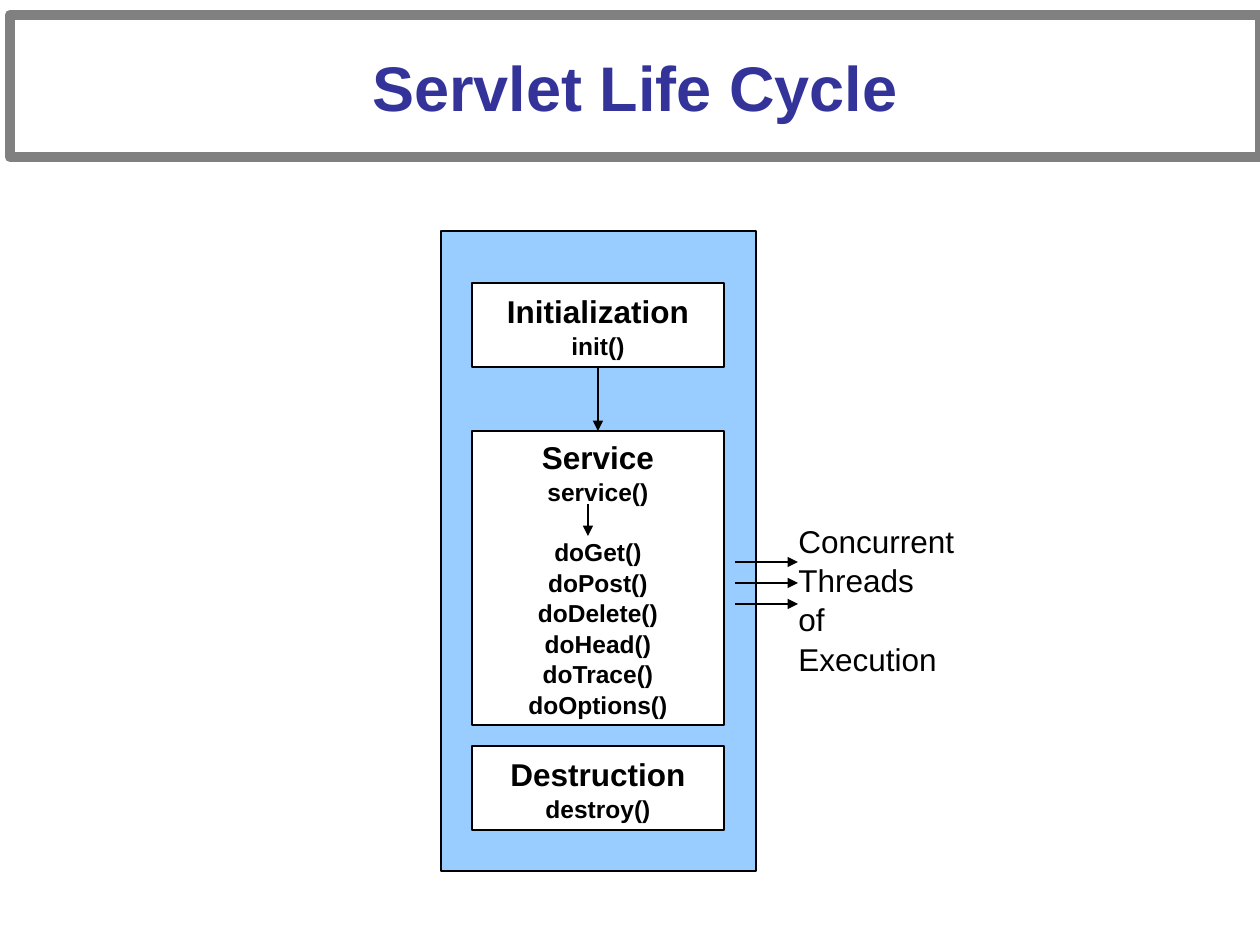
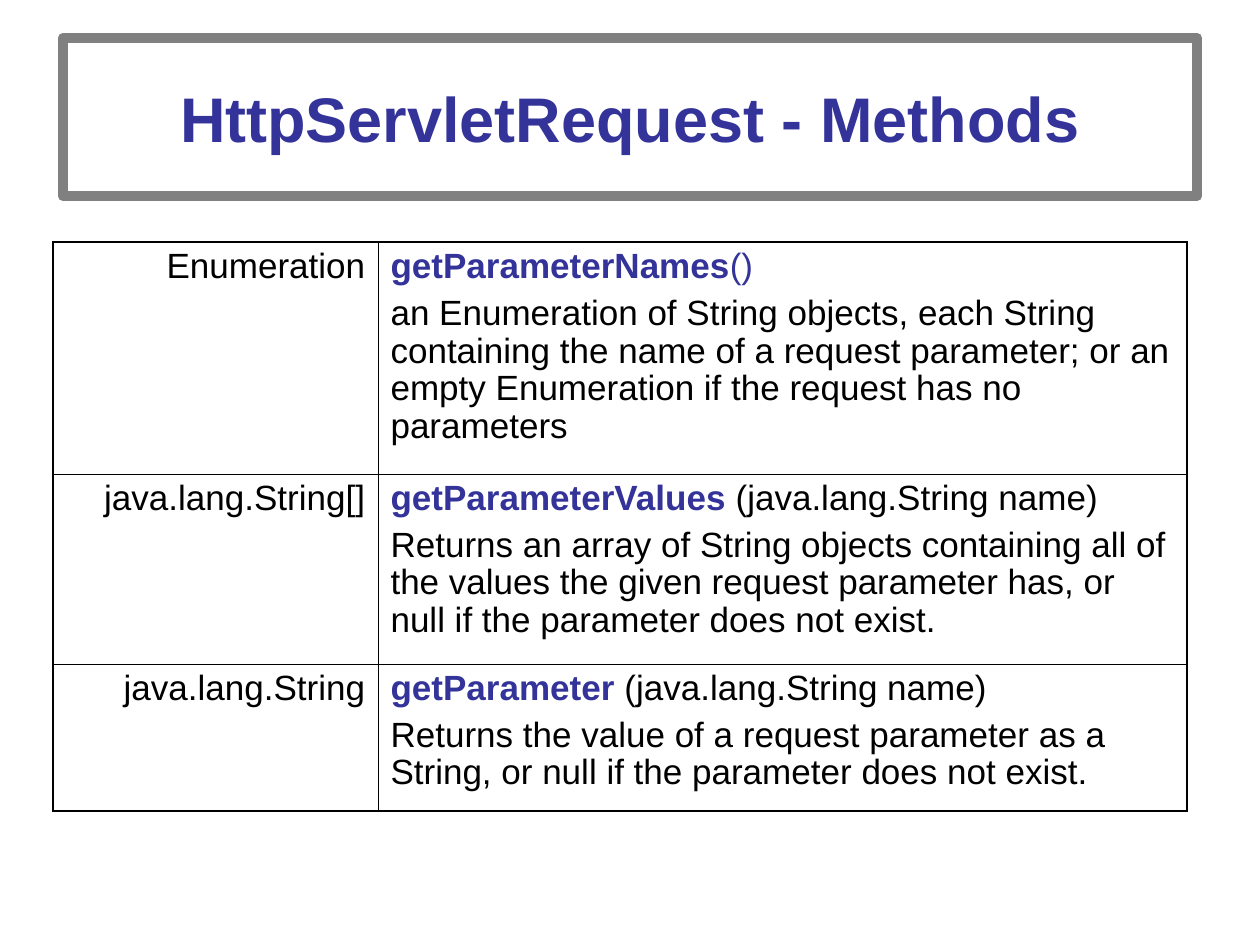
from typing import NamedTuple, Optional

import pptx
import pptx.dml.color
import pptx.enum.shapes
import pptx.enum.text
import pptx.oxml
import pptx.oxml.ns
import pptx.util

PX = 914400 / 126  # EMU in one px
FONT = "Arial"
COLOURS = {
    "ink": "000000",
    "title": "333399",
    "frame": "808080",
    "panel": "99CCFF",
    "paper": "FFFFFF",
}
ALIGN = pptx.enum.text.PP_ALIGN
ANCHOR = pptx.enum.text.MSO_ANCHOR


class Area(NamedTuple):
    left: int
    top: int
    width: int
    height: int


class Span(NamedTuple):
    text: str
    size: int
    bold: bool = False
    colour: str = "ink"


class Para(NamedTuple):
    spans: list[Span]
    before: float = 0


class Phase(NamedTuple):
    name: str
    area: Area
    entry: str
    handlers: tuple[str, ...] = ()


class Method(NamedTuple):
    returns: str
    name: str
    arguments: str
    arguments_colour: str
    description: str
    height: int


def emu(length: int) -> int:
    return round(length * PX)


def rgb(name: str) -> pptx.dml.color.RGBColor:
    return pptx.dml.color.RGBColor.from_string(COLOURS[name])


def write(text_frame, paras: list[Para], align: ALIGN, spacing: float = 1.0) -> None:
    for index, item in enumerate(paras):
        para = text_frame.paragraphs[0] if index == 0 else text_frame.add_paragraph()
        para.alignment = align
        para.line_spacing = spacing
        para.space_before = pptx.util.Pt(item.before)
        for part in item.spans:
            span = para.add_run()
            span.text = part.text
            span.font.name = FONT
            span.font.size = pptx.util.Pt(part.size)
            span.font.bold = part.bold
            span.font.color.rgb = rgb(part.colour)


def add_box(page, area: Area, fill: Optional[str], line: str = "ink", weight: float = 0.75):
    box = page.shapes.add_shape(
        pptx.enum.shapes.MSO_SHAPE.RECTANGLE, *(emu(length) for length in area)
    )
    box.shadow.inherit = False
    if fill:
        box.fill.solid()
        box.fill.fore_color.rgb = rgb(fill)
    else:
        box.fill.background()
    box.line.color.rgb = rgb(line)
    box.line.width = pptx.util.Pt(weight)
    box.text_frame.vertical_anchor = ANCHOR.MIDDLE
    return box


def add_title(page, text: str, area: Area) -> None:
    box = add_box(page, area, None, "frame", 6)
    box.text_frame.word_wrap = True
    write(box.text_frame, [Para([Span(text, 36, True, "title")])], ALIGN.CENTER)


def add_arrow(shapes, x1: int, y1: int, x2: int, y2: int):
    arrow = shapes.add_connector(
        pptx.enum.shapes.MSO_CONNECTOR.STRAIGHT, emu(x1), emu(y1), emu(x2), emu(y2)
    )
    arrow.line.color.rgb = rgb("ink")
    arrow.line.width = pptx.util.Pt(0.75)
    head = pptx.oxml.parse_xml(
        f'<a:tailEnd {pptx.oxml.ns.nsdecls("a")} type="triangle"/>'
    )
    arrow.line._get_or_add_ln().append(head)
    arrow._element.spPr.append(
        pptx.oxml.parse_xml(f'<a:effectLst {pptx.oxml.ns.nsdecls("a")}/>')
    )
    return arrow


def add_phase(page, phase: Phase):
    box = add_box(page, phase.area, "paper")
    box.text_frame.word_wrap = False
    paras = [Para([Span(phase.name, 18, True)]), Para([Span(phase.entry, 14, True)])]
    for index, handler in enumerate(phase.handlers):
        # The first handler leaves one line free for the arrow above it
        paras.append(Para([Span(handler, 14, True)], 0 if index else 16.8))
    write(box.text_frame, paras, ALIGN.CENTER, 1.04)
    return box


def set_borders(cell, weights: dict[str, float]) -> None:
    properties = cell._tc.get_or_add_tcPr()
    for index, (side, weight) in enumerate(weights.items()):
        border = pptx.oxml.parse_xml(
            f'<a:ln{side} {pptx.oxml.ns.nsdecls("a")} w="{pptx.util.Pt(weight)}">'
            f'<a:solidFill><a:srgbClr val="{COLOURS["ink"]}"/></a:solidFill></a:ln{side}>'
        )
        properties.insert(index, border)


def add_method_table(page, left: int, top: int, widths: list[int], methods: list[Method]) -> None:
    area = Area(left, top, sum(widths), sum(method.height for method in methods))
    table = page.shapes.add_table(
        len(methods), len(widths), *(emu(length) for length in area)
    ).table
    table.first_row = table.horz_banding = False
    for column, width in zip(table.columns, widths):
        column.width = emu(width)
    outer, inner = 1.08, 0.45
    for row, method in enumerate(methods):
        table.rows[row].height = emu(method.height)
        signature = [
            Span(method.name, 20, True, "title"),
            Span(method.arguments, 20, False, method.arguments_colour),
        ]
        contents = [
            ([Para([Span(method.returns, 20)])], ALIGN.RIGHT),
            ([Para(signature), Para([Span(method.description, 20)], 5)], ALIGN.LEFT),
        ]
        for column, (paras, align) in enumerate(contents):
            cell = table.cell(row, column)
            cell.fill.background()
            write(cell.text_frame, paras, align, 0.97)
            set_borders(cell, {
                "L": outer if column == 0 else inner,
                "R": outer if column == len(widths) - 1 else inner,
                "T": outer if row == 0 else inner,
                "B": outer if row == len(methods) - 1 else inner,
            })


PHASES = [
    Phase("Initialization", Area(472, 283, 252, 84), "init()"),
    Phase(
        "Service", Area(472, 431, 252, 294), "service()",
        ("doGet()", "doPost()", "doDelete()", "doHead()", "doTrace()", "doOptions()"),
    ),
    Phase("Destruction", Area(472, 746, 252, 84), "destroy()"),
]

METHODS = [
    Method(
        "Enumeration", "getParameterNames", "()", "title",
        "an Enumeration of String objects, each String containing the name of a request "
        "parameter; or an empty Enumeration if the request has no parameters", 232,
    ),
    Method(
        "java.lang.String[]", "getParameterValues ", "(java.lang.String name)", "ink",
        "Returns an array of String objects containing all of the values the given request "
        "parameter has, or null if the parameter does not exist.", 190,
    ),
    Method(
        "java.lang.String", "getParameter ", "(java.lang.String name)", "ink",
        "Returns the value of a request parameter as a String, or null if the parameter "
        "does not exist.", 147,
    ),
]


def build_life_cycle(page) -> None:
    # Servlet panel with its three phases
    add_box(page, Area(441, 231, 315, 640), "panel")
    initialization, service, _ = [add_phase(page, phase) for phase in PHASES]

    # Concurrent threads leaving the service phase
    threads = page.shapes.add_group_shape()
    for index in range(3):
        y = 562 + 21 * index
        add_arrow(threads.shapes, 735, y, 798, y)
    label = page.shapes.add_textbox(emu(786), emu(514), emu(198), emu(126))
    label.text_frame.word_wrap = False
    lines = ["Concurrent", "Threads", "of Execution"]
    write(label.text_frame, [Para([Span(line, 18)]) for line in lines], ALIGN.LEFT, 1.04)

    # Flow between the phases, and from service() to its handlers
    flow = add_arrow(page.shapes, 598, 367, 598, 431)
    flow.begin_connect(initialization, 2)
    flow.end_connect(service, 0)
    add_arrow(page.shapes, 588, 504, 588, 536)

    add_title(page, "Servlet Life Cycle", Area(10, 15, 1250, 142))


def build_request_methods(page) -> None:
    add_title(page, "HttpServletRequest - Methods", Area(63, 38, 1134, 158))
    add_method_table(page, 53, 242, [325, 809], METHODS)


def main() -> None:
    deck = pptx.Presentation()
    deck.slide_width, deck.slide_height = emu(1260), emu(945)
    for build in (build_life_cycle, build_request_methods):
        build(deck.slides.add_slide(deck.slide_layouts[6]))
    deck.save("out.pptx")


if __name__ == "__main__":
    main()
